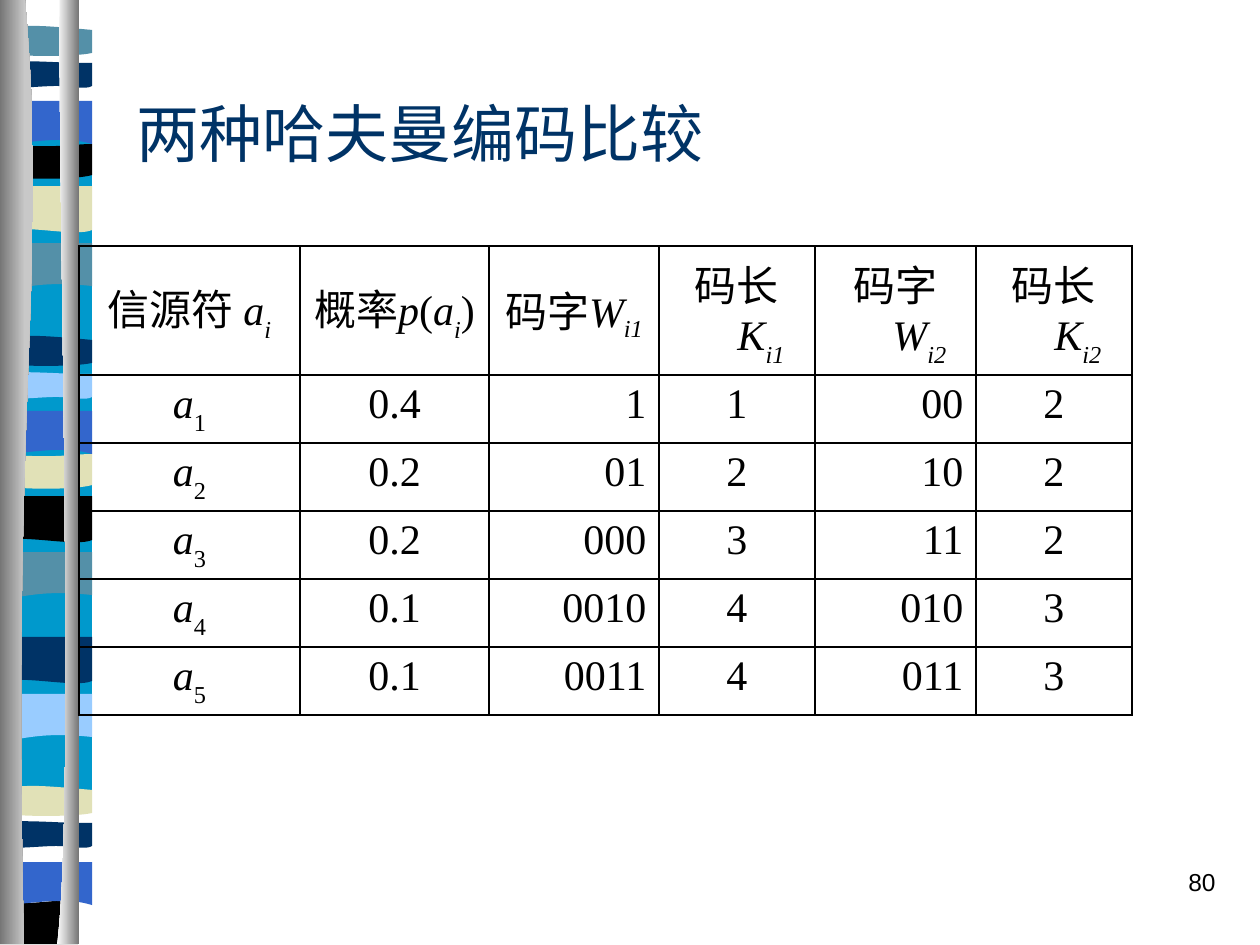
from lxml import etree
from pptx import Presentation
from pptx.dml.color import RGBColor
from pptx.enum.text import MSO_ANCHOR, PP_ALIGN
from pptx.oxml.ns import qn
from pptx.util import Pt

LEFT, CENTER, RIGHT = PP_ALIGN.LEFT, PP_ALIGN.CENTER, PP_ALIGN.RIGHT
TOP, MIDDLE = MSO_ANCHOR.TOP, MSO_ANCHOR.MIDDLE
SCALE = 914400 / 126
SERIF, SANS = "Times New Roman", "Arial"
COLORS = {"cyan": "0099CC", "teal": "5490A8", "sand": "E1E1B7", "black": "000000",
          "blue": "3366CC", "navy": "003366", "sky": "99CCFF",
          "steel": "767676", "silver": "C8C8C8", "white": "FFFFFF"}

OUTLINES = {
    "ground": [(92, 0), (92, 676), (0, 676), (0, 0)],
    "swell": [(92, 0), (92, 43), (29, 36, 16, 51, 0, 43), (0, 0)],
    "drape": [(92, 0), (92, 44), (76, 51, 29, 39, 0, 44), (0, 0)],
    "thin": [(92, 4), (92, 27), (76, 31, 16, 31, 0, 27), (0, 4),
             (6, 0, 20, 0, 36, 0), (50, 0, 80, 3, 92, 4)],
    "sag": [(92, 0), (92, 31), (76, 36, 16, 36, 0, 31), (0, 0), (56, 5, 72, 0, 92, 0)],
    "arch": [(92, 0), (92, 43), (78, 39, 72, 39, 56, 39), (42, 39, 14, 43, 0, 43), (0, 0)],
    "ripple": [(92, 4), (92, 27), (86, 31, 72, 27, 56, 27), (40, 27, 9, 31, 0, 27),
               (0, 4), (12, 0, 64, 4, 78, 4)],
    "foot": [(78, 0), (78, 44), (0, 44), (0, 3), (30, 5, 50, 0, 78, 0)],
    "left pipe": [(25, 0), (49, 272, 11, 373, 24, 944), (0, 944), (0, 0)],
    "right pipe": [(60, 0), (57, 158, 76, 814, 57, 944), (79, 944), (79, 0)],
}
BANDS = [
    ("ground", 134, "cyan"),
    ("swell", 243, "teal"), ("drape", 186, "sand"), ("thin", 26, "teal"),
    ("sag", 144, "black"), ("arch", 101, "blue"), ("ripple", 59, "navy"),
    ("swell", 552, "teal"), ("drape", 496, "black"), ("thin", 336, "navy"),
    ("sag", 454, "sand"), ("arch", 411, "blue"), ("ripple", 370, "sky"),
    ("swell", 694, "sky"), ("drape", 637, "navy"), ("thin", 786, "sand"),
    ("foot", 900, "black"), ("arch", 862, "blue"), ("ripple", 819, "navy"),
]
PIPES = [("left pipe", "steel", "silver"), ("right pipe", "white", "steel")]

COL_WIDTHS = [221, 189, 170, 156, 161, 156]
ROW_HEIGHTS = [129] + [68] * 5
HEADERS = [("信源符 ", "a", "i"), ("概率", "p(a", "i"), ("码字", "W", "i1"),
           ("码长", "K", "i1"), ("码字", "W", "i2"), ("码长", "K", "i2")]
CODES = [("0.4", "1", "1", "00", "2"), ("0.2", "01", "2", "10", "2"),
         ("0.2", "000", "3", "11", "2"), ("0.1", "0010", "4", "010", "3"),
         ("0.1", "0011", "4", "011", "3")]
BODY_ALIGN = [CENTER, CENTER, RIGHT, CENTER, RIGHT, CENTER]


def px(n):
    """Turn pixels into EMU."""
    return round(n * SCALE)


def rgb(name):
    """Look up a named colour."""
    return RGBColor.from_string(COLORS[name])


def add_outline(slide, name, x, y):
    """Add a closed outline with its origin at x, y, bending its curved sides."""
    segs = [[(px(x + a), px(y + b)) for a, b in zip(seg[::2], seg[1::2])]
            for seg in OUTLINES[name]]
    builder = slide.shapes.build_freeform(*segs[0][0], scale=1.0)
    builder.add_line_segments([seg[-1] for seg in segs[1:]], close=True)
    sp = builder.convert_to_shape()
    for seg, line in zip(segs[1:], list(sp._element.iter(qn("a:lnTo")))):
        if len(seg) == 3:
            curve = etree.Element(qn("a:cubicBezTo"))
            for a, b in seg:
                etree.SubElement(curve, qn("a:pt"), x=str(a - sp.left), y=str(b - sp.top))
            line.getparent().replace(line, curve)
    sp.shadow.inherit = False
    sp.line.fill.background()
    return sp


def add_sidebar(slide, x, y):
    """Draw the coloured bands and the two pipes in front."""
    for name, top, color in BANDS:
        sp = add_outline(slide, name, x, y + top)
        sp.fill.solid()
        sp.fill.fore_color.rgb = rgb(color)
    for name, *colors in PIPES:
        sp = add_outline(slide, name, x, y)
        sp.fill.gradient()
        sp.fill.gradient_angle = 0
        for stop, color, pos in zip(sp.fill.gradient_stops, colors, (0, 1)):
            stop.color.rgb = rgb(color)
            stop.position = pos


def add_run(p, text, size, font=SERIF, color="black", italic=False, sub=0):
    """Append one formatted run, lowered by sub percent."""
    r = p.add_run()
    r.text = text
    r.font.size = Pt(size)
    r.font.name = font
    r.font.italic = italic
    r.font.color.rgb = rgb(color)
    if sub:
        r.font._element.set("baseline", str(-1000 * sub))


def add_text(slide, box, text, size, font, color, align, anchor):
    """Add a one-line text box."""
    tf = slide.shapes.add_textbox(*map(px, box)).text_frame
    tf.word_wrap = True
    tf.vertical_anchor = anchor
    p = tf.paragraphs[0]
    p.alignment = align
    add_run(p, text, size, font, color)


def style_cell(cell, align, anchor):
    """Clear the fill, draw the borders and return the paragraph."""
    cell.fill.background()
    cell.vertical_anchor = anchor
    if anchor == TOP:
        cell.margin_bottom = px(1)
    tcPr = cell._tc.get_or_add_tcPr()
    for i, side in enumerate(("a:lnL", "a:lnR", "a:lnT", "a:lnB")):
        ln = etree.Element(qn(side), w=str(Pt(1)))
        fill = etree.SubElement(ln, qn("a:solidFill"))
        etree.SubElement(fill, qn("a:srgbClr"), val=COLORS["black"])
        tcPr.insert(i, ln)
    p = cell.text_frame.paragraphs[0]
    p.alignment = align
    pPr = p._p.get_or_add_pPr()
    pPr.set("marL", str(px(48)))
    pPr.set("indent", str(-px(48)))
    return p


def add_code_table(slide, x, y):
    """Add the table comparing the two codes."""
    frame = slide.shapes.add_table(len(ROW_HEIGHTS), len(COL_WIDTHS), px(x), px(y),
                                   px(sum(COL_WIDTHS)), px(sum(ROW_HEIGHTS)))
    table = frame.table
    table.first_row = table.horz_banding = False
    for col, width in zip(table.columns, COL_WIDTHS):
        col.width = px(width)
    for row, height in zip(table.rows, ROW_HEIGHTS):
        row.height = px(height)
    for c, (label, symbol, index) in enumerate(HEADERS):
        p = style_cell(table.cell(0, c), CENTER, MIDDLE)
        add_run(p, label, 24)
        for part in symbol:
            add_run(p, part, 24, italic=part != "(")
        add_run(p, index, 24, italic=True, sub=25 if c == 2 else 30)
        if "(" in symbol:
            add_run(p, ")", 24)
    for n, values in enumerate(CODES, 1):
        cells = [style_cell(table.cell(n, c), align, TOP)
                 for c, align in enumerate(BODY_ALIGN)]
        add_run(cells[0], "a", 24, italic=True)
        add_run(cells[0], str(n), 24, sub=30)
        for p, value in zip(cells[1:], values):
            add_run(p, value, 24)


def main():
    """Build and save the slide."""
    prs = Presentation()
    prs.slide_width, prs.slide_height = px(1260), px(945)
    slide = prs.slides.add_slide(prs.slide_layouts[6])
    add_sidebar(slide, 0, 0)
    add_text(slide, (124, 53, 1071, 158), "两种哈夫曼编码比较", 36, SERIF, "navy", LEFT, MIDDLE)
    add_text(slide, (966, 861, 262, 63), "80", 14, SANS, "black", RIGHT, TOP)
    add_code_table(slide, 79, 246)
    prs.save("out.pptx")


if __name__ == "__main__":
    main()
